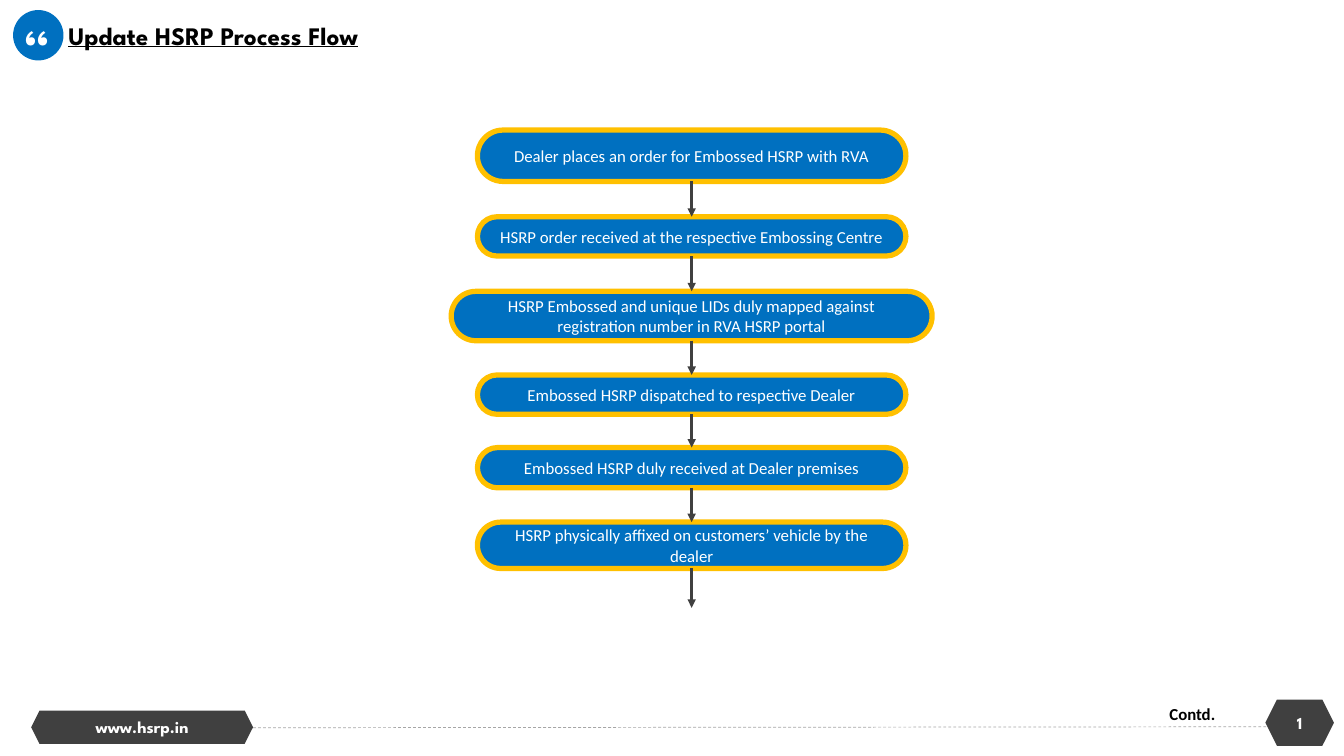
from dataclasses import dataclass

from lxml.etree import SubElement
from pptx import Presentation
from pptx.dml.color import RGBColor
from pptx.enum.dml import MSO_LINE as Dash
from pptx.enum.shapes import MSO_CONNECTOR as Conn, MSO_SHAPE as Kind
from pptx.enum.text import MSO_ANCHOR as Anchor, MSO_AUTO_SIZE as Fit, PP_ALIGN as Align
from pptx.oxml.ns import qn
from pptx.shapes.autoshape import Shape
from pptx.shapes.connector import Connector
from pptx.util import Inches, Pt

HEX = {"blue": "0070C0", "gold": "FFC000", "dark": "404040",
       "grey": "A6A6A6", "white": "FFFFFF", "black": "000000"}
HEAD, BODY = "League Spartan", "Calibri"
MID = 6.86  # centre line of the flow


@dataclass
class Step:
    text: str
    top: float
    high: float
    wide: float = 4.25


@dataclass
class Label:
    text: str
    font: str = HEAD
    size: float = 12
    color: str = "white"
    bold: bool = True
    under: bool = False
    align: Align = Align.CENTER


STEPS = [
    Step("Dealer places an order for Embossed HSRP with RVA", 1.29, 0.51),
    Step("HSRP order received at the respective Embossing Centre", 2.15, 0.39),
    Step("HSRP Embossed and unique LIDs duly mapped against "
         "registration number in RVA HSRP portal", 2.89, 0.49, 4.77),
    Step("Embossed HSRP dispatched to respective Dealer", 3.72, 0.39),
    Step("Embossed HSRP duly received at Dealer premises", 4.44, 0.4),
    Step("HSRP physically affixed on customers’ vehicle by the dealer", 5.18, 0.46),
]

deck = Presentation()
deck.slide_width, deck.slide_height = Inches(13.33), Inches(7.5)
slide = deck.slides.add_slide(deck.slide_layouts[6])


def tint(name: str) -> RGBColor:
    return RGBColor.from_string(HEX[name])


def write(shape: Shape, label: Label) -> None:
    shape.text_frame.word_wrap = True
    para = shape.text_frame.paragraphs[0]
    para.alignment = label.align
    run = para.add_run()
    run.text = label.text
    font = run.font
    font.name, font.size = label.font, Pt(label.size)
    font.bold, font.underline = label.bold, label.under
    font.color.rgb = tint(label.color)


def block(kind: Kind, left: float, top: float, wide: float, high: float,
          fill: str) -> Shape:
    shape = slide.shapes.add_shape(
        kind, Inches(left), Inches(top), Inches(wide), Inches(high))
    shape.shadow.inherit = False
    shape.fill.solid()
    shape.fill.fore_color.rgb = tint(fill)
    shape.line.fill.background()
    shape.text_frame.vertical_anchor = Anchor.MIDDLE
    return shape


def note(left: float, top: float, wide: float, high: float, label: Label) -> Shape:
    box = slide.shapes.add_textbox(
        Inches(left), Inches(top), Inches(wide), Inches(high))
    write(box, label)
    box.text_frame.auto_size = Fit.SHAPE_TO_FIT_TEXT
    return box


def rule(x1: float, y1: float, x2: float, y2: float, color: str,
         size: float) -> Connector:
    line = slide.shapes.add_connector(
        Conn.STRAIGHT, Inches(x1), Inches(y1), Inches(x2), Inches(y2))
    line.line.color.rgb = tint(color)
    line.line.width = Pt(size)
    SubElement(line._element.spPr, qn("a:effectLst"))
    return line


def draw(step: Step) -> Shape:
    pill = block(Kind.ROUNDED_RECTANGLE, MID - step.wide / 2, step.top,
                 step.wide, step.high, "blue")
    pill.adjustments[0] = 0.5
    pill.line.color.rgb = tint("gold")
    pill.line.width = Pt(3.75)
    write(pill, Label(step.text, BODY, bold=False))
    return pill


def arrow(start: float, end: float) -> Connector:
    line = rule(MID, start, MID, end, "dark", 2)
    SubElement(line.line._get_or_add_ln(), qn("a:tailEnd"), type="triangle")
    return line


# Footer
site = block(Kind.HEXAGON, 0.31, 7.05, 2.2, 0.33, "dark")
frame = site.text_frame
frame.margin_left = frame.margin_right = frame.margin_top = frame.margin_bottom = 0
write(site, Label("www.hsrp.in"))
rule(2.51, 7.22, 12.67, 7.21, "grey", 0.5).line.dash_style = Dash.DASH
page = block(Kind.HEXAGON, 12.55, 6.94, 0.68, 0.46, "dark")
write(page, Label("1"))
note(11.5, 6.93, 1.17, 0.3,
     Label("Contd.", BODY, color="black", align=Align.LEFT))

# Title and quote badge
title = block(Kind.RECTANGLE, 0.58, 0.15, 4.16, 0.4, "white")
title.text_frame.vertical_anchor = Anchor.TOP
title.text_frame.auto_size = Fit.SHAPE_TO_FIT_TEXT
write(title, Label("Update HSRP Process Flow", size=18, color="black",
                   under=True, align=Align.LEFT))
block(Kind.OVAL, 0.13, 0.1, 0.5, 0.5, "blue")
quote = note(0.11, 0.06, 0.51, 0.84, Label("“", size=44, bold=False))
quote.text_frame.word_wrap = False

# Flow: steps, then the arrows that join them
pills = [draw(step) for step in STEPS]
for step, after, pill, goal in zip(STEPS, STEPS[1:], pills, pills[1:]):
    link = arrow(step.top + step.high, after.top)
    link.begin_connect(pill, 2)
    link.end_connect(goal, 0)
arrow(5.64, 6.03).begin_connect(pills[-1], 2)

deck.save("out.pptx")
